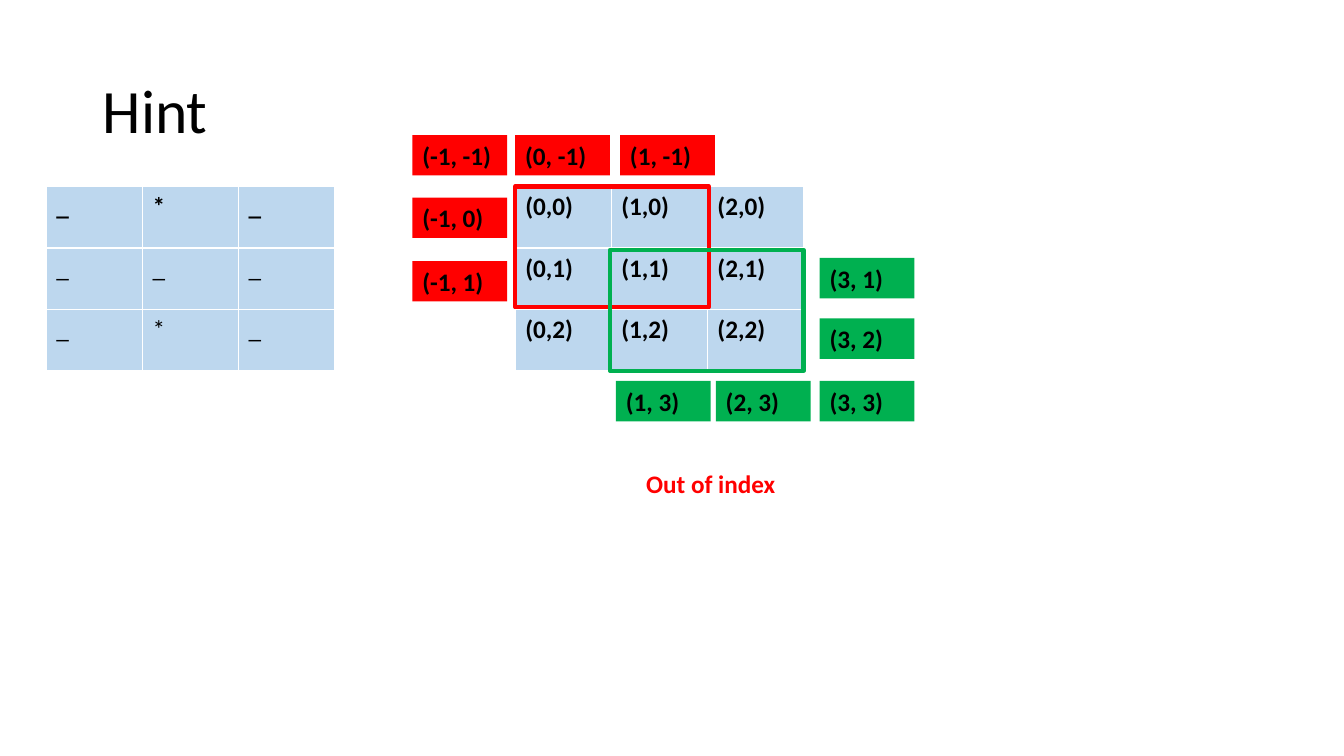
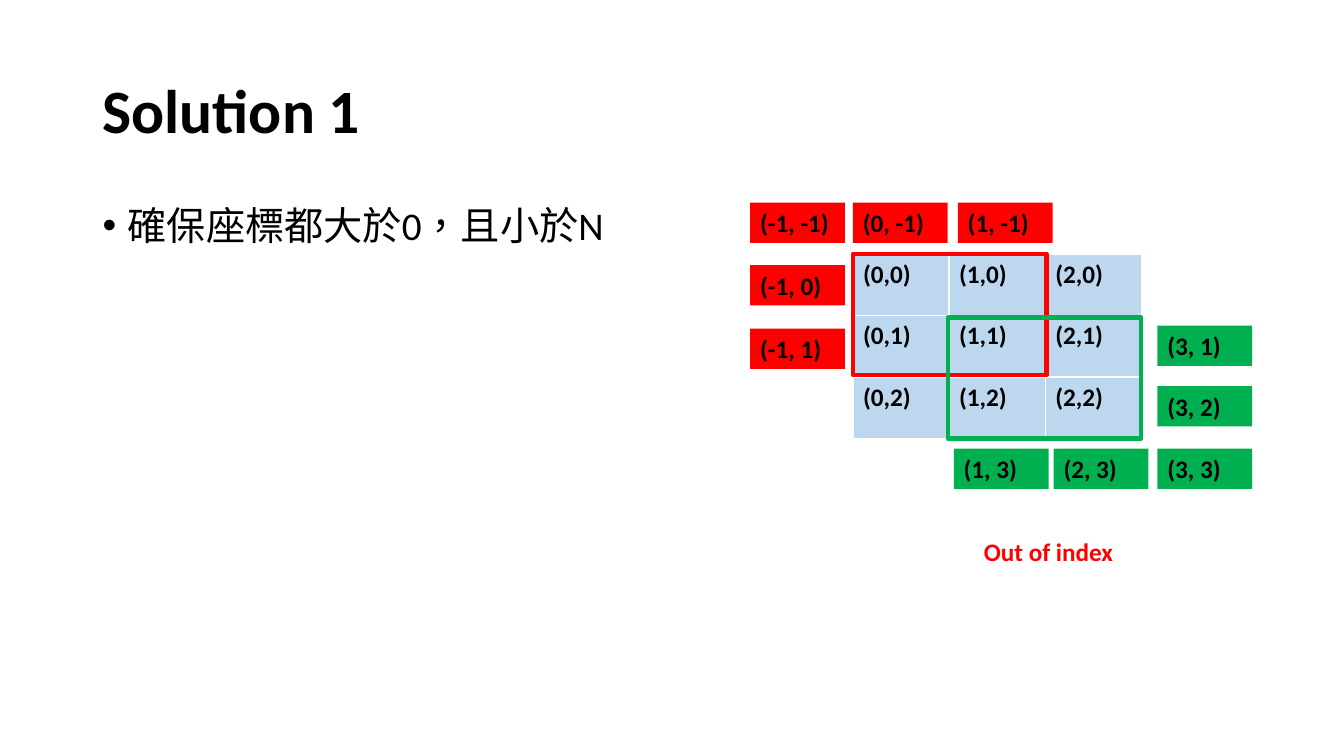
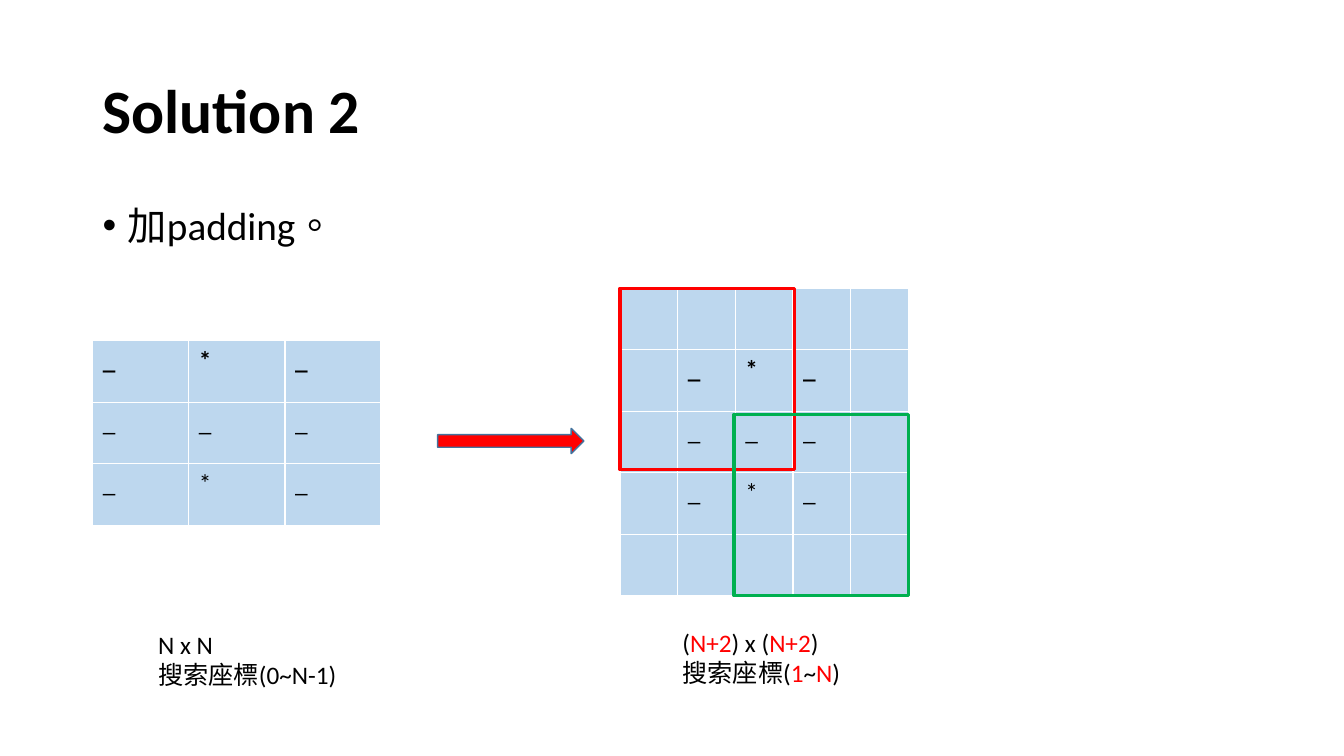
"""Build three slides on out-of-range neighbours in a grid and two ways to handle them."""
from itertools import product

from lxml.etree import SubElement
from pptx import Presentation
from pptx.dml.color import RGBColor
from pptx.enum.lang import MSO_LANGUAGE_ID as Language
from pptx.enum.shapes import MSO_SHAPE as Shape
from pptx.enum.text import MSO_ANCHOR as Anchor, PP_ALIGN as Align
from pptx.oxml.ns import qn
from pptx.util import Inches, Pt

COLORS = {name: RGBColor.from_string(value) for name, value in {
    "black": "000000", "red": "FF0000", "green": "00B050",
    "cell": "BDD7EE", "arrow_edge": "43739E"}.items()}
FONT = "Calibri"
GRID_WIDTH, ROW_HEIGHT = 2.86, 0.61
LABEL_WIDTH, LABEL_HEIGHT = 0.94, 0.4
CONTENT_LEFT, CONTENT_WIDTH = 0.92, 11.5


def write(text_frame, lines, size=18, bold=False, color="black", align=None):
    """Write the lines; every second part between bars is red."""
    text_frame.word_wrap = True
    for index, line in enumerate(lines):
        paragraph = text_frame.paragraphs[0] if index == 0 else text_frame.add_paragraph()
        paragraph.alignment = align
        for part_index, part in enumerate(line.split("|")):
            run = paragraph.add_run()
            run.text = part
            run.font.name, run.font.size, run.font.bold = FONT, Pt(size), bold
            run.font.color.rgb = COLORS["red" if part_index % 2 else color]
            run.font.language_id = Language.TRADITIONAL_CHINESE


def add_grid(slide, left, top, rows, bold_rows, frame=None):
    """Add a table of equal cells, with a red and a green frame in opposite corners."""
    height = ROW_HEIGHT * len(rows)
    table = slide.shapes.add_table(len(rows), len(rows[0]), Inches(left), Inches(top),
                                   Inches(GRID_WIDTH), Inches(height)).table
    table.horz_banding = False
    for row in table.rows:
        row.height = Inches(ROW_HEIGHT)
    for row_index, row in enumerate(rows):
        for column_index, text in enumerate(row):
            cell = table.cell(row_index, column_index)
            cell.fill.solid()
            cell.fill.fore_color.rgb = COLORS["cell"]
            if text:
                write(cell.text_frame, [text], bold=row_index in bold_rows, align=Align.JUSTIFY)
    if frame:
        frame_width, frame_height, weight = frame
        corners = {"red": (left, top),
                   "green": (left + GRID_WIDTH - frame_width, top + height - frame_height)}
        for color, (x, y) in corners.items():
            shape = slide.shapes.add_shape(Shape.RECTANGLE, Inches(x), Inches(y),
                                           Inches(frame_width), Inches(frame_height))
            shape.shadow.inherit = False
            shape.fill.background()
            shape.line.color.rgb = COLORS[color]
            shape.line.width = Pt(weight)


presentation = Presentation()
presentation.slide_width, presentation.slide_height = Inches(13.33), Inches(7.5)

slides = []
for title, title_bold, bullet in [("Hint", False, None),
                                  ("Solution 1", True, "確保座標都大於0，且小於N"),
                                  ("Solution 2", True, "加padding。")]:
    slide = presentation.slides.add_slide(presentation.slide_layouts[6])
    slides.append(slide)
    title_box = slide.shapes.add_textbox(Inches(CONTENT_LEFT), Inches(0.4),
                                         Inches(CONTENT_WIDTH), Inches(1.45))
    title_box.text_frame.vertical_anchor = Anchor.MIDDLE
    write(title_box.text_frame, [title], 44, title_bold)
    title_box.text_frame.paragraphs[0].line_spacing = 0.9
    if bullet:
        body = slide.shapes.add_textbox(Inches(CONTENT_LEFT), Inches(2),
                                        Inches(CONTENT_WIDTH), Inches(4.76))
        write(body.text_frame, [bullet], 28)
        paragraph = body.text_frame.paragraphs[0]
        paragraph.line_spacing, paragraph.space_before = 0.9, Pt(10)
        properties = paragraph._p.get_or_add_pPr()
        properties.set("marL", str(Inches(0.25)))
        properties.set("indent", str(Inches(-0.25)))
        SubElement(properties, qn("a:buFont")).set("typeface", "Arial")
        SubElement(properties, qn("a:buChar")).set("char", "•")

hint, solution_1, solution_2 = slides
symbols = ["_*_", "___", "_*_"]
coordinates = [[f"({x},{y})" for x in range(3)] for y in range(3)]

outside = [("red", -1, {-1: -1.02, 0: 0, 1: 1.04}, {-1: -0.51, 0: 0.11, 1: 0.74}),
           ("green", 3, {1: 1, 2: 1.99, 3: 3.02}, {1: 0.71, 2: 1.31, 3: 1.93})]
for slide, left, top in [(hint, 5.11, 1.85), (solution_1, 8.46, 2.52)]:
    add_grid(slide, left, top, coordinates, range(3), (1.92, 1.2, 3))
    for color, limit, columns, rows in outside:
        for x, y in product(columns, rows):
            if limit in (x, y):
                label = slide.shapes.add_textbox(Inches(left + columns[x]), Inches(top + rows[y]),
                                                 Inches(LABEL_WIDTH), Inches(LABEL_HEIGHT))
                label.fill.solid()
                label.fill.fore_color.rgb = COLORS[color]
                write(label.text_frame, [f"({x}, {y})"], bold=True, align=Align.JUSTIFY)
    caption = slide.shapes.add_textbox(Inches(left + 1.2), Inches(top + 2.75),
                                       Inches(1.83), Inches(LABEL_HEIGHT))
    write(caption.text_frame, ["Out of index"], bold=True, color="red")

add_grid(hint, 0.46, 1.85, symbols, [0])

padding = [""] * 5
padded = [padding, *[["", *row, ""] for row in symbols], padding]
add_grid(solution_2, CONTENT_LEFT, 3.38, symbols, [0])
add_grid(solution_2, 6.15, 2.86, padded, [1], (1.73, 1.8, 2.25))

arrow = solution_2.shapes.add_shape(Shape.RIGHT_ARROW, Inches(4.34), Inches(4.25),
                                    Inches(1.45), Inches(0.25))
arrow.shadow.inherit = False
arrow.fill.solid()
arrow.fill.fore_color.rgb = COLORS["red"]
arrow.line.color.rgb = COLORS["arrow_edge"]
arrow.line.width = Pt(1)

for left, top, lines in [(1.47, 6.19, ["N x N", "搜索座標(0~N-1)"]),
                         (6.67, 6.17, ["(|N+2|) x (|N+2|)", "搜索座標(|1|~|N|)"])]:
    note = solution_2.shapes.add_textbox(Inches(left), Inches(top), Inches(2.56), Inches(0.71))
    write(note.text_frame, lines)

presentation.save("out.pptx")
